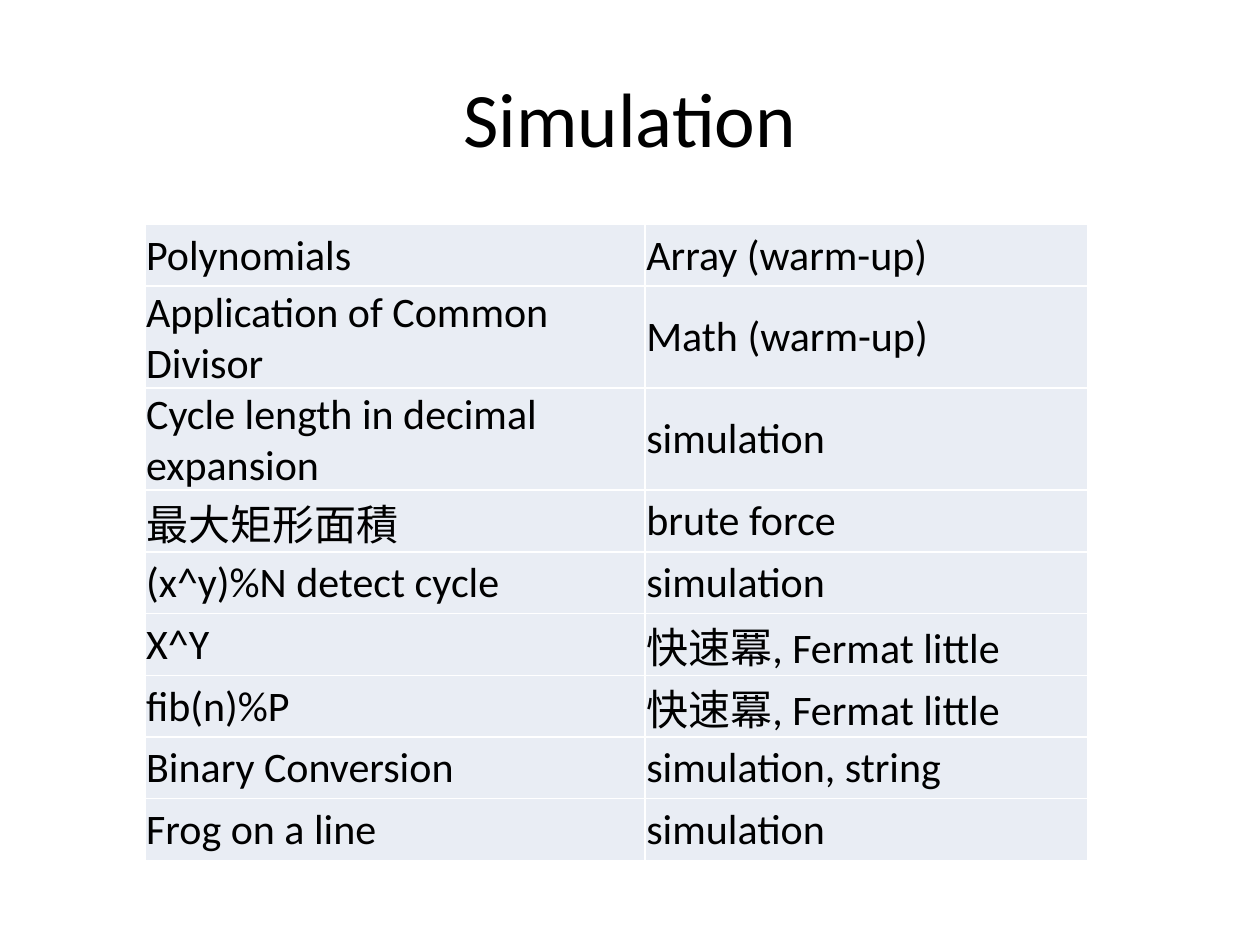
from lxml import etree
from pptx import Presentation
from pptx.dml.color import RGBColor
from pptx.enum.text import MSO_ANCHOR, PP_ALIGN
from pptx.oxml.ns import qn
from pptx.util import Inches, Pt

MIDDLE = MSO_ANCHOR.MIDDLE
CENTER, LEFT = PP_ALIGN.CENTER, PP_ALIGN.LEFT
BLACK = RGBColor(0x00, 0x00, 0x00)
WHITE = RGBColor(0xFF, 0xFF, 0xFF)
PALE_BLUE = RGBColor(0xE9, 0xED, 0xF4)

# Content
TITLE = "Simulation"
PROBLEMS = [
    ("Polynomials", "Array (warm-up)"),
    ("Application of Common Divisor", "Math (warm-up)"),
    ("Cycle length in decimal expansion", "simulation"),
    ("最大矩形面積", "brute force"),
    ("(x^y)%N detect cycle", "simulation"),
    ("X^Y", "快速冪, Fermat little"),
    ("fib(n)%P", "快速冪, Fermat little"),
    ("Binary Conversion", "simulation, string"),
    ("Frog on a line", "simulation"),
]

# Layout, in inches
SLIDE_WIDTH, SLIDE_HEIGHT = 10, 7.5
TITLE_MARGIN, TITLE_TOP, TITLE_HEIGHT = 0.5, 0.3, 1.25
TABLE_LEFT, TABLE_TOP = 1.15, 1.78
COLUMN_WIDTHS = (3.97, 3.51)
ROW_HEIGHT = 0.49
CELL_FORMAT = {
    "vertical_anchor": MIDDLE,
    "margin_left": Inches(0.01),
    "margin_right": Inches(0.01),
    "margin_top": Inches(0.01),
    "margin_bottom": 0,
}


def write_text(text_frame, text, size, alignment):
    paragraph = text_frame.paragraphs[0]
    paragraph.alignment = alignment
    run = paragraph.add_run()
    run.text = text
    for name, value in {"name": "Calibri", "size": Pt(size)}.items():
        setattr(run.font, name, value)
    run.font.color.rgb = BLACK


def add_borders(cell, color, width):
    properties = cell._tc.get_or_add_tcPr()
    for position, side in enumerate(("lnL", "lnR", "lnT", "lnB")):
        line = etree.Element(qn(f"a:{side}"), w=str(Pt(width)))
        fill = etree.SubElement(line, qn("a:solidFill"))
        etree.SubElement(fill, qn("a:srgbClr"), val=str(color))
        properties.insert(position, line)


presentation = Presentation()
presentation.slide_width = Inches(SLIDE_WIDTH)
presentation.slide_height = Inches(SLIDE_HEIGHT)
slide = presentation.slides.add_slide(presentation.slide_layouts[6])

# Title
title_box = slide.shapes.add_textbox(
    Inches(TITLE_MARGIN), Inches(TITLE_TOP),
    Inches(SLIDE_WIDTH - 2 * TITLE_MARGIN), Inches(TITLE_HEIGHT))
title_box.text_frame.word_wrap = True
title_box.text_frame.vertical_anchor = MIDDLE
write_text(title_box.text_frame, TITLE, 44, CENTER)

# Problem table
table = slide.shapes.add_table(
    len(PROBLEMS), len(COLUMN_WIDTHS), Inches(TABLE_LEFT), Inches(TABLE_TOP),
    Inches(sum(COLUMN_WIDTHS)), Inches(ROW_HEIGHT * len(PROBLEMS))).table
table.first_row = False
table.horz_banding = False
for column, width in zip(table.columns, COLUMN_WIDTHS):
    column.width = Inches(width)
for row, texts in zip(table.rows, PROBLEMS):
    row.height = Inches(ROW_HEIGHT)
    for cell, text in zip(row.cells, texts):
        for name, value in CELL_FORMAT.items():
            setattr(cell, name, value)
        cell.fill.solid()
        cell.fill.fore_color.rgb = PALE_BLUE
        add_borders(cell, WHITE, 1)
        write_text(cell.text_frame, text, 24, LEFT)

presentation.save("out.pptx")
